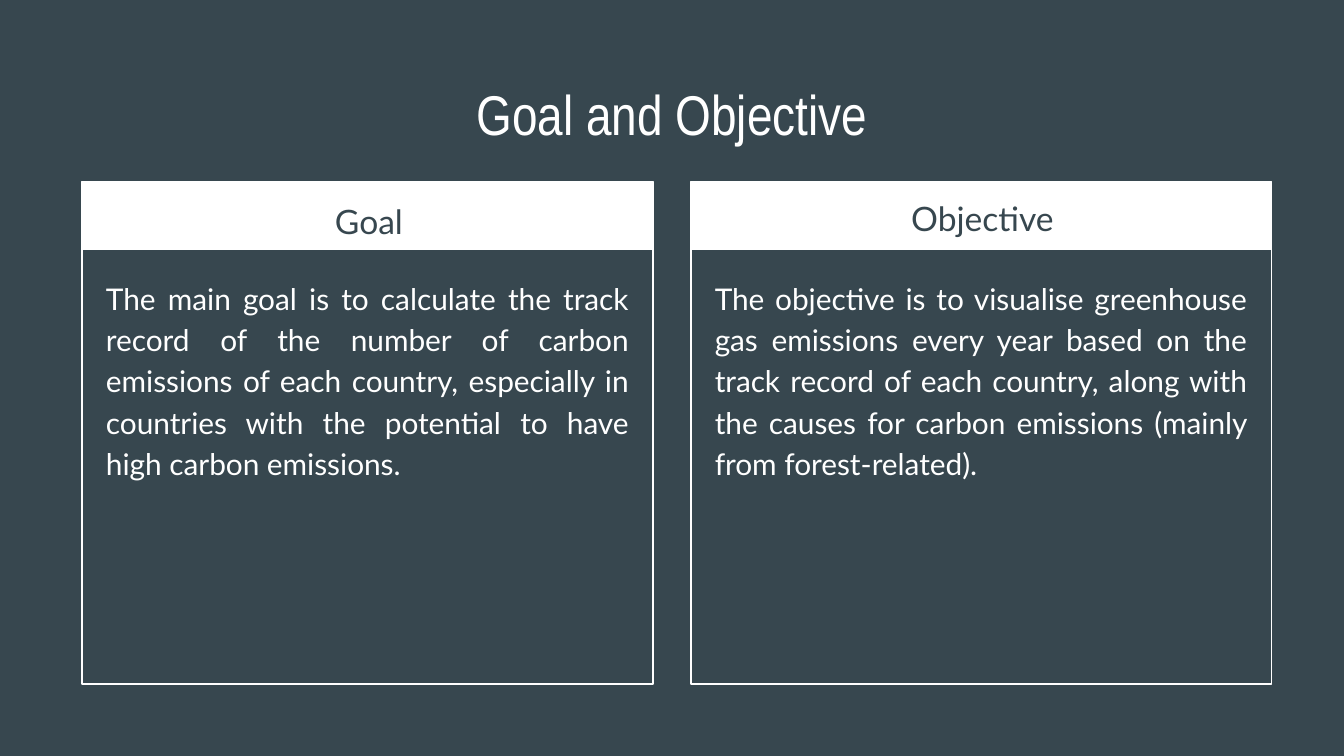
from pptx import Presentation
from pptx.dml.color import RGBColor
from pptx.enum.shapes import MSO_SHAPE
from pptx.enum.text import MSO_ANCHOR, MSO_AUTO_SIZE, PP_ALIGN
from pptx.util import Inches, Pt

RECT = MSO_SHAPE.RECTANGLE
TOP, MIDDLE = MSO_ANCHOR.TOP, MSO_ANCHOR.MIDDLE
CENTER, JUSTIFY = PP_ALIGN.CENTER, PP_ALIGN.JUSTIFY
NO_FIT = MSO_AUTO_SIZE.NONE
COLORS = {"slate": "37474F", "white": "FFFFFF"}

CARD_TOP, CARD_HEIGHT = 1.35, 3.74
HEADER_HEIGHT = 0.51
BODY_OFFSET, BODY_INSET = 0.6, 0.08

CARDS = [
    (0.61, 4.25, "Goal", TOP,
     "The main goal is to calculate the track record of the number of carbon "
     "emissions of each country, especially in countries with the potential "
     "to have high carbon emissions."),
    (5.14, 4.32, "Objective", MIDDLE,
     "The objective is to visualise greenhouse gas emissions every year based "
     "on the track record of each country, along with the causes for carbon "
     "emissions (mainly from forest-related)."),
]


def color(name):
    return RGBColor.from_string(COLORS[name])


def write(sp, text, size, fill="white", font="Lato", align=CENTER,
          anchor=TOP, line_spacing=None, space_before=0):
    tf = sp.text_frame
    tf.word_wrap = True
    tf.auto_size = NO_FIT
    tf.vertical_anchor = anchor
    tf.margin_left = tf.margin_right = Inches(0.1)
    tf.margin_top = tf.margin_bottom = Inches(0.1)
    p = tf.paragraphs[0]
    p.alignment = align
    p.line_spacing = line_spacing
    p.space_before = Pt(space_before)
    r = p.add_run()
    r.text = text
    r.font.name = font
    r.font.size = Pt(size)
    r.font.color.rgb = color(fill)


def add_title(s, x, y, w, h, text):
    sp = s.shapes.title
    sp.left, sp.top, sp.width, sp.height = map(Inches, (x, y, w, h))
    write(sp, text, 30, font="Arial Narrow")


def add_card(s, x, y, w, h, heading, anchor, body):
    group = s.shapes.add_group_shape()
    header = group.shapes.add_shape(
        RECT, Inches(x), Inches(y), Inches(w), Inches(HEADER_HEIGHT))
    header.shadow.inherit = False
    header.fill.solid()
    header.fill.fore_color.rgb = color("white")
    header.line.fill.background()

    frame = group.shapes.add_shape(
        RECT, Inches(x), Inches(y), Inches(w), Inches(h))
    frame.shadow.inherit = False
    frame.fill.background()
    frame.line.color.rgb = color("white")
    frame.line.width = Pt(0.75)

    label = s.shapes.add_textbox(
        Inches(x + 0.01), Inches(y), Inches(w), Inches(0.5))
    write(label, heading, 18, fill="slate", anchor=anchor, line_spacing=1.15)

    content = s.shapes.add_textbox(
        Inches(x + BODY_INSET), Inches(y + BODY_OFFSET),
        Inches(w - 2 * BODY_INSET), Inches(h - BODY_OFFSET - BODY_INSET))
    write(content, body, 16, align=JUSTIFY, line_spacing=1.15, space_before=12)


def main():
    prs = Presentation()
    prs.slide_width = Inches(10)
    prs.slide_height = prs.slide_width * 9 // 16
    s = prs.slides.add_slide(prs.slide_layouts[5])
    s.background.fill.solid()
    s.background.fill.fore_color.rgb = color("slate")
    add_title(s, 0.34, 0.49, 9.32, 0.63, "Goal and Objective")
    for x, w, heading, anchor, body in CARDS:
        add_card(s, x, CARD_TOP, w, CARD_HEIGHT, heading, anchor, body)
    prs.save("out.pptx")


if __name__ == "__main__":
    main()
